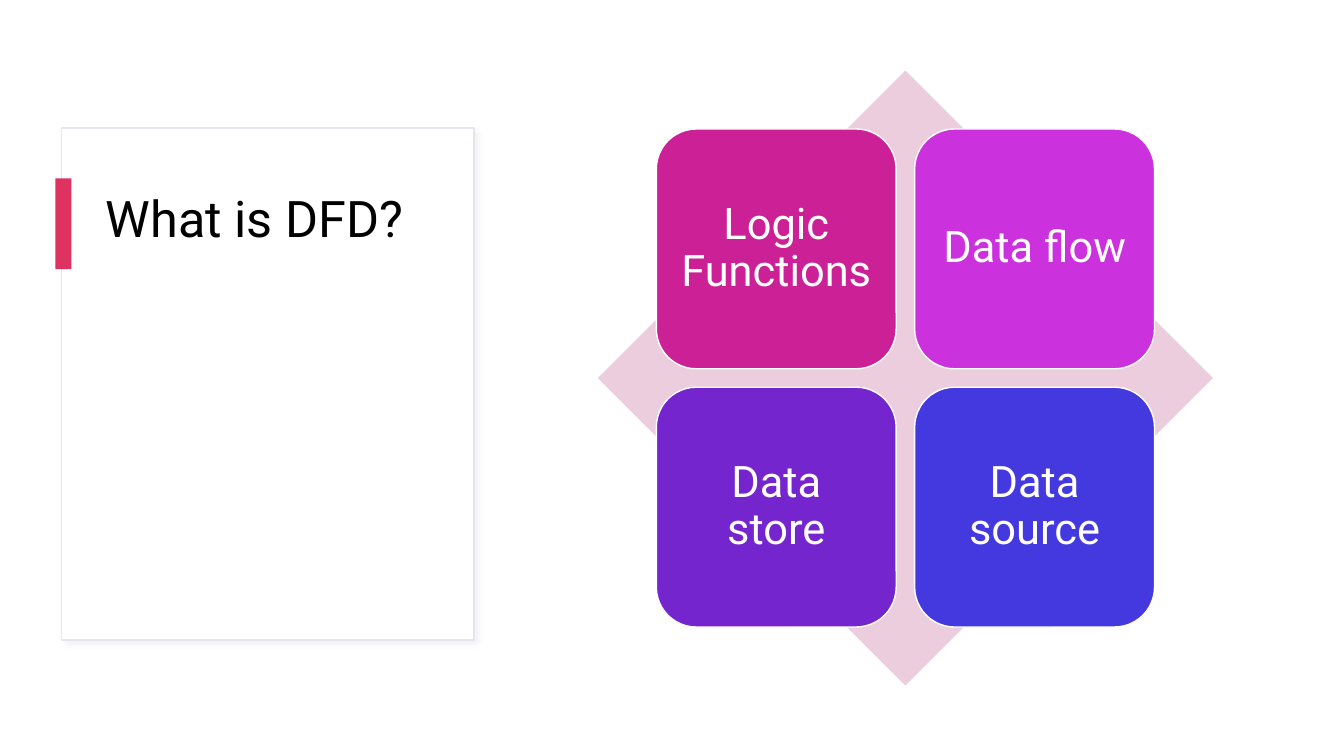
from lxml import etree
from pptx import Presentation, util as u
from pptx.dml.color import RGBColor
from pptx.enum import shapes, text
from pptx.oxml import ns

FONT = "Roboto"
TILES = [
    ("Logic Functions", "CC2097"),
    ("Data flow", "CB32DE"),
    ("Data store", "7525CD"),
    ("Data source", "4339DF"),
]


def colour(value):
    """Turn a hex string into a colour."""
    return RGBColor.from_string(value)


def add_block(parent, kind, box, fill, line=None):
    """Add a filled shape in a box given in inches, with an optional 1 pt outline."""
    shape = parent.shapes.add_shape(kind, *map(u.Inches, box))
    shape.shadow.inherit = False
    shape.fill.solid()
    shape.fill.fore_color.rgb = colour(fill)
    if line:
        shape.line.color.rgb = colour(line)
        shape.line.width = u.Pt(1)
    else:
        shape.line.fill.background()
    return shape


def write(shape, wording, size, fill, align, anchor, inset):
    """Write one wrapped paragraph into a shape."""
    frame = shape.text_frame
    frame.word_wrap = True
    frame.vertical_anchor = anchor
    frame.margin_left = frame.margin_right = u.Inches(inset)
    paragraph = frame.paragraphs[0]
    paragraph.text = wording
    paragraph.alignment = align
    paragraph.line_spacing = 0.9
    paragraph.font.size = u.Pt(size)
    paragraph.font.name = FONT
    paragraph.font.color.rgb = colour(fill)


def add_soft_shadow(shape, fill):
    """Give a shape a faint shadow to the lower right."""
    effects = shape._element.spPr.find(ns.qn("a:effectLst"))
    shadow = etree.SubElement(
        effects, ns.qn("a:outerShdw"), blurRad=str(u.Pt(4)), dist=str(u.Pt(3)),
        dir="2700000", algn="tl", rotWithShape="0")
    tint = etree.SubElement(shadow, ns.qn("a:srgbClr"), val=fill)
    etree.SubElement(tint, ns.qn("a:alpha"), val="30000")


def add_title_card(slide, box, title):
    """Draw the outlined card with its accent bar and title."""
    left, top, width, height = box
    card = add_block(slide, shapes.MSO_SHAPE.RECTANGLE, box, "FFFFFF", "E5E5F0")
    add_soft_shadow(card, "D9D9D9")
    title_box = (left + 0.34, top + 0.61, width - 0.7, height - 1.23)
    heading = slide.shapes.add_textbox(*map(u.Inches, title_box))
    write(heading, title, 36, "000000", text.PP_ALIGN.LEFT, text.MSO_ANCHOR.TOP, 0.1)
    accent_box = (left - 0.06, top + 0.5, 0.16, 0.9)
    add_block(slide, shapes.MSO_SHAPE.RECTANGLE, accent_box, "DE3261")


def add_matrix(slide, box, tiles):
    """Draw a diamond with a centred two-by-two grid of tiles over it."""
    left, top, width, height = box
    matrix = slide.shapes.add_group_shape()
    add_block(matrix, shapes.MSO_SHAPE.DIAMOND, box, "ECCDDD")
    side = width * 0.39
    pitch = width * 0.42
    margin = (width - side - pitch) / 2
    for index, (label, fill) in enumerate(tiles):
        row, column = divmod(index, 2)
        tile_box = (left + margin + column * pitch, top + margin + row * pitch, side, side)
        tile = add_block(matrix, shapes.MSO_SHAPE.ROUNDED_RECTANGLE, tile_box, fill, "FFFFFF")
        write(tile, label, 31, "FFFFFF", text.PP_ALIGN.CENTER, text.MSO_ANCHOR.MIDDLE, 0.12)


def main():
    """Build and save the slide."""
    presentation = Presentation()
    presentation.slide_width = u.Inches(13.33)
    presentation.slide_height = u.Inches(7.5)
    slide = presentation.slides.add_slide(presentation.slide_layouts[6])
    slide.background.fill.solid()
    slide.background.fill.fore_color.rgb = colour("FFFFFF")
    add_title_card(slide, (0.61, 1.27, 4.09, 5.08), "What is DFD?")
    add_matrix(slide, (5.93, 0.7, 6.1, 6.1), TILES)
    presentation.save("out.pptx")


if __name__ == "__main__":
    main()
